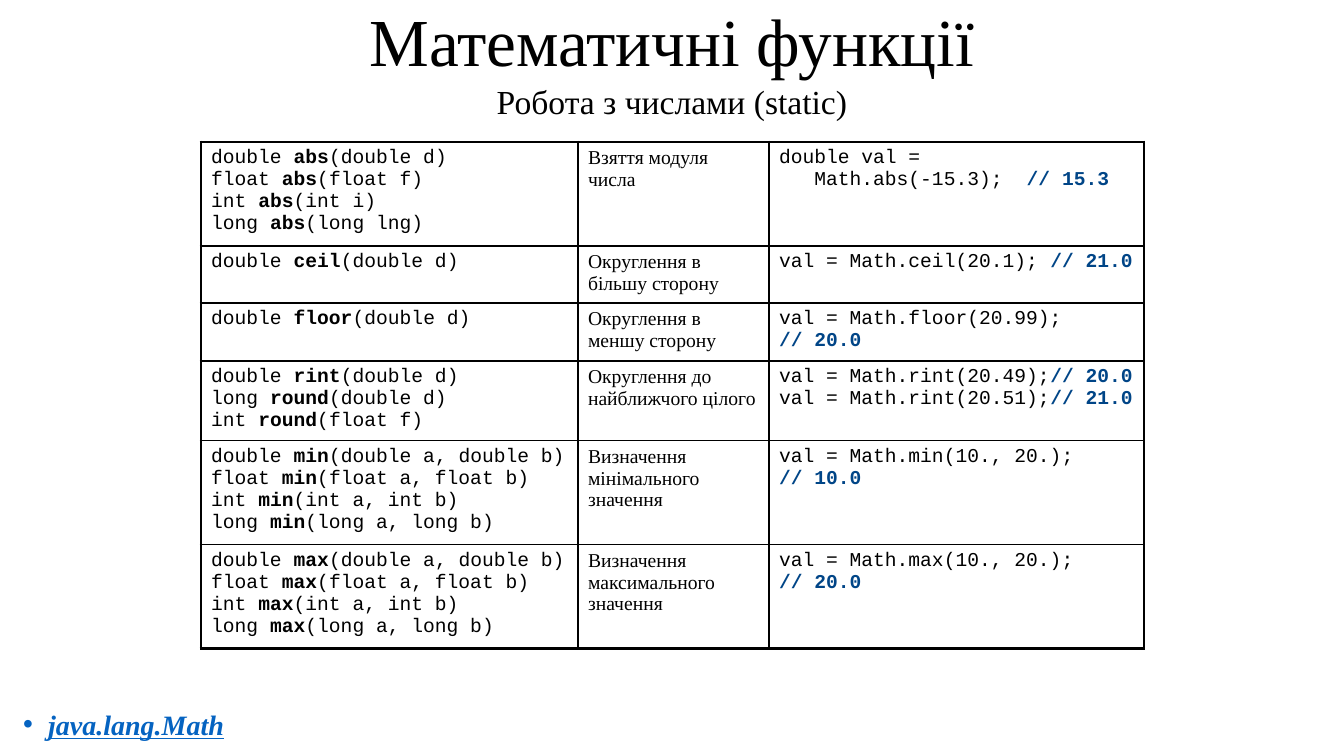
from lxml.etree import SubElement
from pptx import Presentation
from pptx.dml.color import RGBColor
from pptx.enum.text import MSO_ANCHOR, MSO_AUTO_SIZE, PP_ALIGN
from pptx.oxml.ns import qn
from pptx.util import Pt

TITLE = "Математичні функції"
SUBTITLE = "Робота з числами (static)"
REFERENCE = "java.lang.Math"
# signatures, meaning, example
FUNCTIONS = [
    (["double abs(double d)", "float abs(float f)", "int abs(int i)", "long abs(long lng)"],
     "Взяття модуля числа",
     ["double val = ", "   Math.abs(-15.3);  // 15.3"]),
    (["double ceil(double d)"],
     "Округлення в більшу сторону",
     ["val = Math.ceil(20.1); // 21.0"]),
    (["double floor(double d)"],
     "Округлення в меншу сторону",
     ["val = Math.floor(20.99);", "// 20.0"]),
    (["double rint(double d)", "long round(double d)", "int round(float f)"],
     "Округлення до найближчого цілого",
     ["val = Math.rint(20.49);// 20.0", "val = Math.rint(20.51);// 21.0"]),
    (["double min(double a, double b)", "float min(float a, float b)",
      "int min(int a, int b)", "long min(long a, long b)"],
     "Визначення мінімального значення",
     ["val = Math.min(10., 20.);", "// 10.0"]),
    (["double max(double a, double b)", "float max(float a, float b)",
      "int max(int a, int b)", "long max(long a, long b)"],
     "Визначення максимального значення",
     ["val = Math.max(10., 20.);", "// 20.0"]),
]

SLIDE_W, SLIDE_H = 1344, 756
SCALE = 12192000 / SLIDE_W
TITLE_BOX = (0, 0, SLIDE_W, 89)
SUBTITLE_BOX = (0, 76, SLIDE_W, 50)
REFERENCE_BOX = (13, 709, 907, 39)
TABLE_LEFT, TABLE_TOP = 201, 142
COLS = [377, 191, 375]
ROWS = [104, 57, 58, 80, 104, 104]
BULLET_INDENT = 25
INNER, OUTER = Pt(1), Pt(2.25)

SERIF, MONO = "Times New Roman", "Courier New"
BLACK = RGBColor(0x00, 0x00, 0x00)
COMMENT = RGBColor(0x00, 0x45, 0x87)
LINK = RGBColor(0x05, 0x63, 0xC1)


def px(n):
    return round(n * SCALE)


def place(sp, box):
    sp.left, sp.top, sp.width, sp.height = map(px, box)


def set_font(p, name, size, color=BLACK):
    p.font.name, p.font.size = name, Pt(size)
    p.font.color.rgb = color


def add_run(p, text, bold=False, color=None):
    r = p.add_run()
    r.text = text
    if bold:
        r.font.bold = True
    if color is not None:
        r.font.color.rgb = color


def write_signature(p, line):
    head, args = line.split("(", 1)
    result_type, name = head.split(" ")
    add_run(p, result_type + " ")
    add_run(p, name, bold=True)
    add_run(p, "(" + args)


def write_example(p, line):
    code, mark, value = line.partition("//")
    if code:
        add_run(p, code)
    if mark:
        add_run(p, mark + value, bold=True, color=COMMENT)


def fill_cell(cell, lines, font, write):
    p = cell.text_frame.paragraphs[0]
    set_font(p, font, 14)
    for i, line in enumerate(lines):
        if i:
            p.add_line_break()
        write(p, line)


def set_borders(cell, row, col):
    """Thick lines on the table's outer edge, thin ones inside."""
    on_edge = {"lnL": col == 0, "lnR": col == len(COLS) - 1,
               "lnT": row == 0, "lnB": row == len(ROWS) - 1}
    tc_pr = cell._tc.get_or_add_tcPr()
    for side, edge in on_edge.items():
        ln = SubElement(tc_pr, qn("a:" + side), w=str(OUTER if edge else INNER))
        SubElement(SubElement(ln, qn("a:solidFill")), qn("a:srgbClr"), val=str(BLACK))


def add_function_table(slide):
    table = slide.shapes.add_table(len(ROWS), len(COLS), px(TABLE_LEFT), px(TABLE_TOP),
                                   px(sum(COLS)), px(sum(ROWS))).table
    table.first_row = table.horz_banding = False
    for column, width in zip(table.columns, COLS):
        column.width = px(width)
    for i, (signatures, meaning, example) in enumerate(FUNCTIONS):
        table.rows[i].height = px(ROWS[i])
        contents = [(signatures, MONO, write_signature),
                    ([meaning], SERIF, add_run),
                    (example, MONO, write_example)]
        for j, content in enumerate(contents):
            cell = table.cell(i, j)
            fill_cell(cell, *content)
            set_borders(cell, i, j)
            cell.fill.background()


def main():
    prs = Presentation()
    prs.slide_width, prs.slide_height = px(SLIDE_W), px(SLIDE_H)
    slide = prs.slides.add_slide(prs.slide_layouts[1])

    title, body = slide.placeholders
    place(title, TITLE_BOX)
    title.text_frame.text = TITLE
    title.text_frame.auto_size = MSO_AUTO_SIZE.NONE
    title.text_frame.vertical_anchor = MSO_ANCHOR.MIDDLE
    p = title.text_frame.paragraphs[0]
    p.alignment, p.line_spacing = PP_ALIGN.CENTER, 0.9
    set_font(p, SERIF, 48)

    place(body, REFERENCE_BOX)
    body.text_frame.text = REFERENCE
    body.text_frame.auto_size = MSO_AUTO_SIZE.NONE
    p = body.text_frame.paragraphs[0]
    p_pr = p._p.get_or_add_pPr()
    p_pr.set("marL", str(px(BULLET_INDENT)))
    p_pr.set("indent", str(-px(BULLET_INDENT)))
    p.line_spacing, p.space_before = 0.8, Pt(0)
    set_font(p, SERIF, 20, LINK)
    p.font.bold = p.font.italic = p.font.underline = True

    add_function_table(slide)

    subtitle = slide.shapes.add_textbox(*map(px, SUBTITLE_BOX))
    subtitle.text_frame.word_wrap = True
    p = subtitle.text_frame.paragraphs[0]
    p.text, p.alignment = SUBTITLE, PP_ALIGN.CENTER
    set_font(p, SERIF, 24)

    prs.save("out.pptx")


if __name__ == "__main__":
    main()
